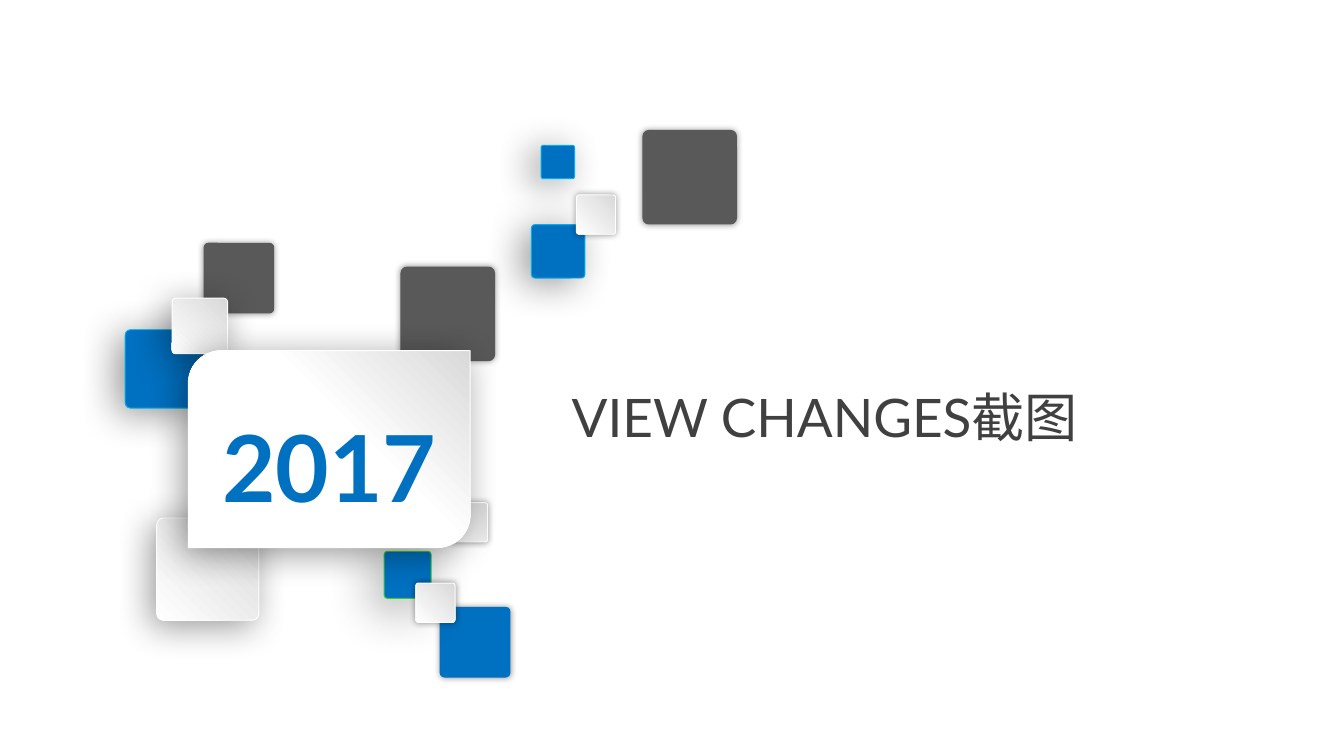
from lxml import etree
from pptx import Presentation, util as u
from pptx.dml.color import RGBColor
from pptx.enum import shapes, text
from pptx.oxml.ns import qn

W, H = 14.06, 7.91
CELL = W / 100  # side of one square grid cell, in inches

BLUE, DARK, WHITE = "0070C0", "595959", "FFFFFF"
PALE = (("D9D9D9", 0), (WHITE, 1))
PANEL_FADE = (("D9D9D9", 0), (WHITE, 0.42))

# Shadows: blur in points, distance in points, direction in degrees
HALO, DEEP = (5, 0, 0), (27, 6, 135)
STYLES = {  # fill, line, shadow
    "dark": (DARK, None, HALO),
    "blue": (BLUE, None, HALO),
    "blue_deep": (BLUE, "00B0F0", (29, 8, 150)),
    "blue_green": (BLUE, "33CC33", (40, 9, 135)),
    "pale": (PALE, WHITE, HALO),
    "pale_deep": (PALE, WHITE, DEEP),
    "panel": (PANEL_FADE, WHITE, DEEP),
}

# Origin of each cluster, then its tiles: style, column, row, side
CLUSTERS = [
    ((9.32, 18.07), [("blue_deep", 0, 6.47, 5.83), ("dark", 5.83, 0, 5.26),
                     ("pale_deep", 3.48, 4.12, 4.13)]),
    ((11.66, 37.41), [("pale", 21.7, 0, 2.92), ("pale_deep", 0, 1.14, 7.61)]),
    ((28.59, 41.04), [("blue", 4.13, 4.12, 5.26), ("blue_green", 0, 0, 3.49),
                      ("pale", 2.35, 2.35, 2.92)]),
    ((29.8, 9.67), [("dark", 0, 10.17, 7.04), ("blue_deep", 9.74, 7.04, 3.98),
                    ("blue_deep", 10.46, 1.14, 2.49), ("pale", 13.09, 4.84, 2.92),
                    ("dark", 18, 0, 7.04)]),
]


def rgb(value):
    return RGBColor.from_string(value)


def cells(*values):
    """Turn grid columns and rows into lengths."""
    return [u.Inches(v * CELL) for v in values]


def add_shadow(sp, blur, distance, direction):
    sp.shadow.inherit = False
    effects = sp._element.spPr.find(qn("a:effectLst"))
    outer = etree.SubElement(effects, qn("a:outerShdw"), blurRad=str(u.Pt(blur)),
                             dist=str(u.Pt(distance)), dir=str(direction * 60000),
                             algn="ctr", rotWithShape="0")
    color = etree.SubElement(outer, qn("a:srgbClr"), val="000000")
    etree.SubElement(color, qn("a:alpha"), val="40000")


def apply_style(sp, style):
    fill, line, shadow = STYLES[style]
    if isinstance(fill, str):
        sp.fill.solid()
        sp.fill.fore_color.rgb = rgb(fill)
    else:
        sp.fill.gradient()
        sp.fill.gradient_angle = 225  # counter-clockwise: top right to bottom left
        for stop, (color, position) in zip(sp.fill.gradient_stops, fill):
            stop.color.rgb = rgb(color)
            stop.position = position
    if line:
        sp.line.color.rgb = rgb(line)
        sp.line.width = u.Pt(0.75)
    else:
        sp.line.fill.background()
    add_shadow(sp, *shadow)


def add_cluster(slide, origin, tiles):
    group = slide.shapes.add_group_shape()
    left, top = origin
    for style, col, row, side in tiles:
        sp = group.shapes.add_shape(shapes.MSO_SHAPE.ROUNDED_RECTANGLE,
                                    *cells(left + col, top + row, side, side))
        sp.adjustments[0] = 0.067
        apply_style(sp, style)


def write(sp, wording, size, color, align, bold=False):
    tf = sp.text_frame
    tf.word_wrap = True
    tf.auto_size = text.MSO_AUTO_SIZE.NONE
    tf.vertical_anchor = text.MSO_ANCHOR.MIDDLE
    p = tf.paragraphs[0]
    p.text = wording
    p.alignment = align
    p.line_spacing = 1.3
    p.font.name, p.font.size, p.font.bold = "Lato", u.Pt(size), bold
    p.font.color.rgb = rgb(color)
    return tf


def add_year_panel(slide, box):
    sp = slide.shapes.add_shape(shapes.MSO_SHAPE.ROUND_2_DIAG_RECTANGLE, *cells(*box))
    apply_style(sp, "panel")
    write(sp, "2017", 69.6, BLUE, text.PP_ALIGN.CENTER, bold=True)


def add_title(slide, box):
    title = slide.shapes.title
    title.left, title.top, title.width, title.height = cells(*box)
    tf = write(title, "VIEW CHANGES截图", 40, "404040", text.PP_ALIGN.LEFT)
    tf.margin_left = tf.margin_right = u.Inches(0.14)
    tf.margin_top = tf.margin_bottom = u.Inches(0.07)


def main():
    prs = Presentation()
    prs.slide_width, prs.slide_height = u.Inches(W), u.Inches(H)
    slide = prs.slides.add_slide(prs.slide_layouts[5])
    for origin, tiles in CLUSTERS:
        add_cluster(slide, origin, tiles)
    add_year_panel(slide, (14.01, 26.1, 20.98, 14.65))
    add_title(slide, (41.54, 27.6, 45.95, 5.33))
    prs.save("out.pptx")


if __name__ == "__main__":
    main()
